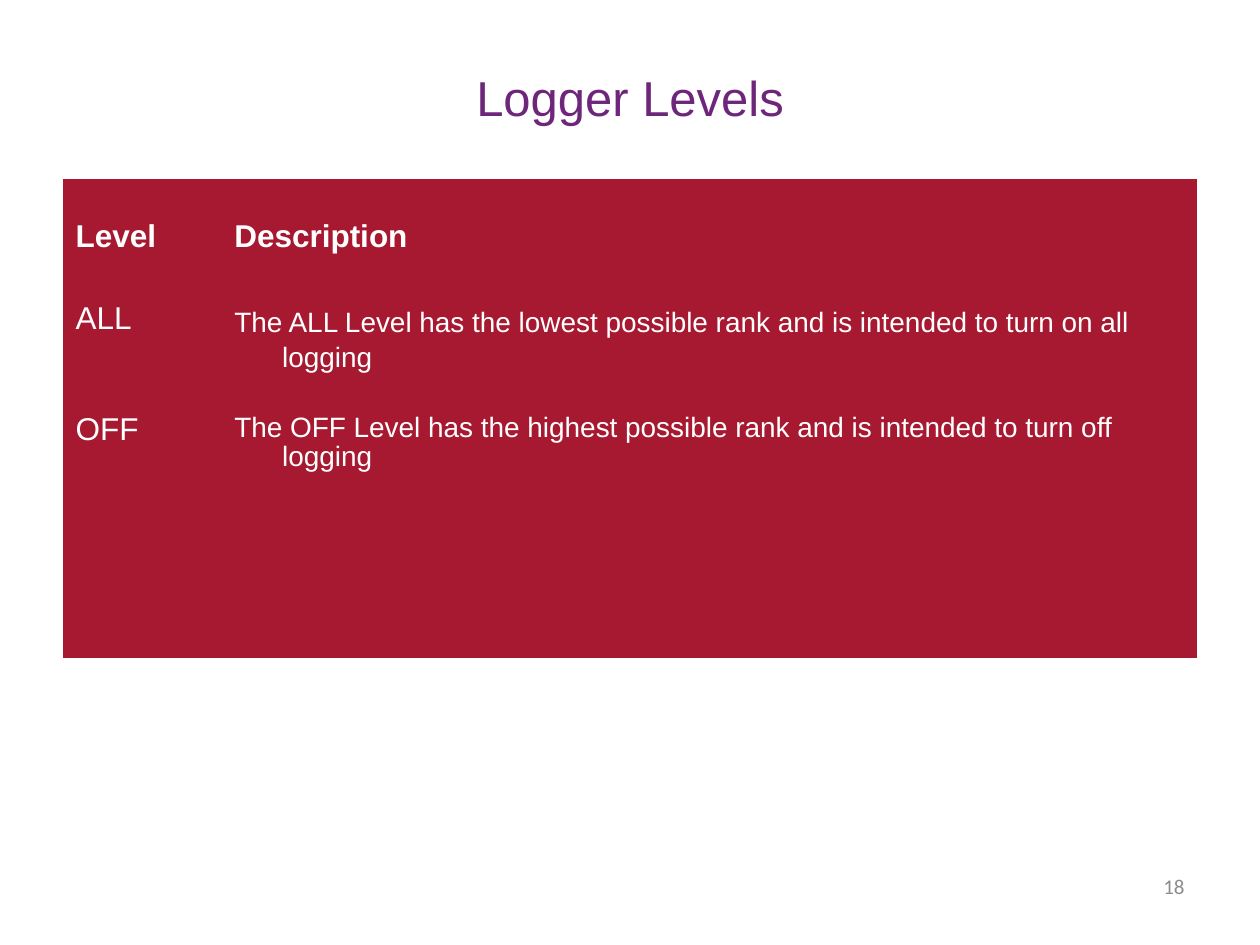
import pptx
import pptx.dml.color
import pptx.enum.text
import pptx.oxml.ns
import pptx.util
from lxml import etree
from pptx.util import Inches

PURPLE = pptx.dml.color.RGBColor(0x6E, 0x26, 0x7B)
CRIMSON = pptx.dml.color.RGBColor(0xA7, 0x19, 0x30)
WHITE = pptx.dml.color.RGBColor(0xFF, 0xFF, 0xFF)
GREY = pptx.dml.color.RGBColor(0x8C, 0x8C, 0x8C)

ALIGN = pptx.enum.text.PP_ALIGN
MIDDLE = pptx.enum.text.MSO_ANCHOR.MIDDLE
TOP = pptx.enum.text.MSO_ANCHOR.TOP

COLUMN_WIDTHS = (1.26, 7.74)
ROW_HEIGHTS = (0.94, 0.88, 1.1, 0.88)
LEVELS = (
    ("Level", "Description"),
    ("ALL", "The ALL Level has the lowest possible rank and is intended to turn on all logging"),
    ("OFF", "The OFF Level has the highest possible rank and is intended to turn off logging"),
    ("", ""),
)


def add_run(paragraph, text, size, color, font="Arial", bold=False):
    run = paragraph.add_run()
    run.text = text
    run.font.size = pptx.util.Pt(size)
    run.font.name = font
    run.font.bold = bold
    run.font.color.rgb = color


def add_title(slide, text):
    title = slide.shapes.title
    title.left, title.top = Inches(0.5), Inches(0.42)
    title.width, title.height = Inches(9), Inches(0.7)
    title.text_frame.vertical_anchor = MIDDLE
    heading = title.text_frame.paragraphs[0]
    heading.alignment = ALIGN.CENTER
    add_run(heading, text, 28, PURPLE)


def add_page_number(slide, number):
    footer = slide.shapes.add_textbox(Inches(7.75), Inches(6.83), Inches(1.75), Inches(0.4))
    footer.text_frame.word_wrap = True
    footer.text_frame.vertical_anchor = MIDDLE
    paragraph = footer.text_frame.paragraphs[0]
    paragraph.alignment = ALIGN.RIGHT
    add_run(paragraph, number, 12, GREY, font="Calibri")


def remove_borders(cell):
    properties = cell._tc.get_or_add_tcPr()
    for index, side in enumerate(("a:lnL", "a:lnR", "a:lnT", "a:lnB")):
        border = etree.Element(pptx.oxml.ns.qn(side), w="0")
        etree.SubElement(border, pptx.oxml.ns.qn("a:noFill"))
        properties.insert(index, border)


def fill_cell(cell, text, size, bold, anchor, line_spacing):
    cell.fill.solid()
    cell.fill.fore_color.rgb = CRIMSON
    remove_borders(cell)
    if not text:
        return
    cell.vertical_anchor = anchor
    paragraph = cell.text_frame.paragraphs[0]
    paragraph.line_spacing = line_spacing
    paragraph.space_after = pptx.util.Pt(14.2)
    # Hanging indent
    indent = Inches(0.38)
    properties = paragraph._p.get_or_add_pPr()
    properties.set("marL", str(indent))
    properties.set("indent", str(-indent))
    add_run(paragraph, text, size, WHITE, bold=bold)


def add_levels_table(slide):
    table = slide.shapes.add_table(
        len(LEVELS), len(COLUMN_WIDTHS), Inches(0.5), Inches(1.42),
        Inches(sum(COLUMN_WIDTHS)), Inches(sum(ROW_HEIGHTS))).table
    table.horz_banding = False
    for column, width in zip(table.columns, COLUMN_WIDTHS):
        column.width = Inches(width)
    for row, height in zip(table.rows, ROW_HEIGHTS):
        row.height = Inches(height)
    for r, texts in enumerate(LEVELS):
        header = r == 0
        for c, text in enumerate(texts):
            fill_cell(
                table.cell(r, c), text,
                size=18 if header or c == 0 else 16,
                bold=header,
                anchor=MIDDLE if header else TOP,
                # The ALL description is set looser than the rest
                line_spacing=1.12 if (r, c) == (1, 1) else 0.93)


def main():
    deck = pptx.Presentation()
    deck.slide_width, deck.slide_height = Inches(10), Inches(7.5)
    slide = deck.slides.add_slide(deck.slide_layouts[5])
    add_page_number(slide, "18")
    add_title(slide, "Logger Levels")
    add_levels_table(slide)
    deck.save("out.pptx")


if __name__ == "__main__":
    main()
